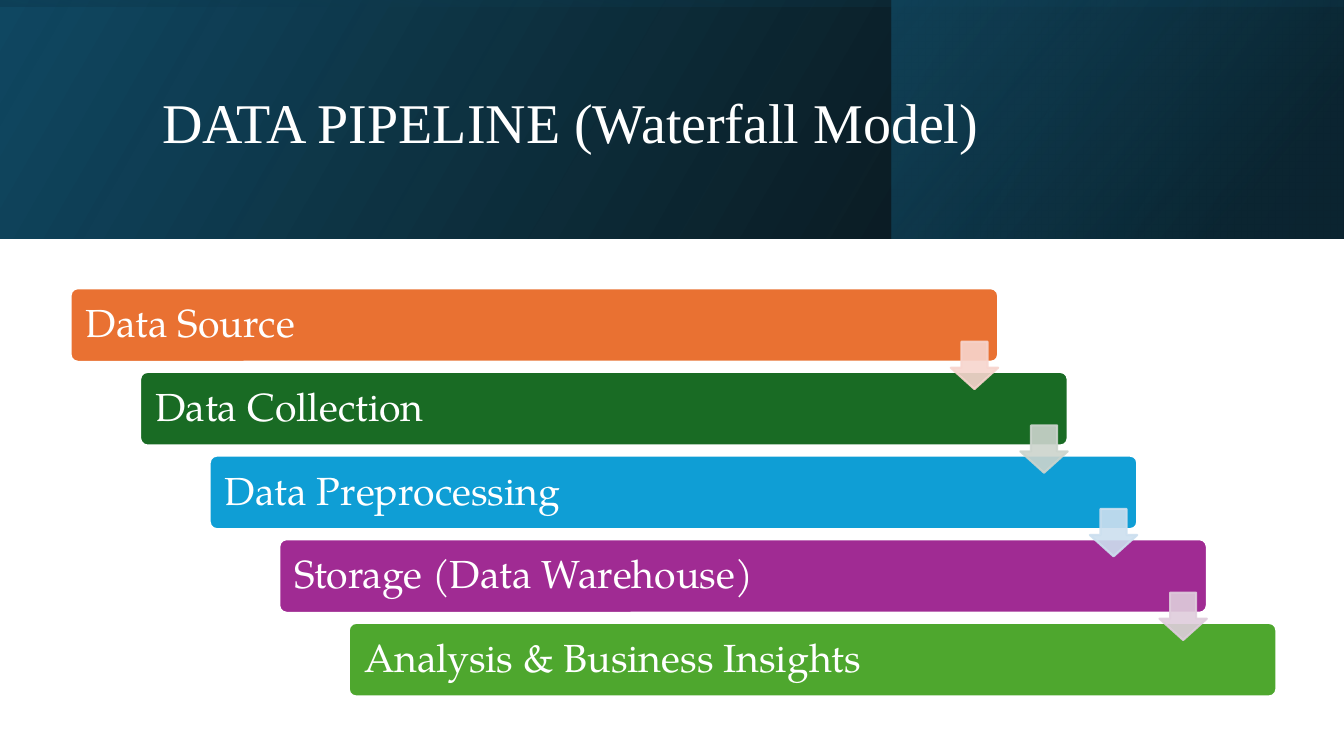
"""Build the data pipeline slide: a gradient header above a waterfall of five steps."""
from lxml.etree import SubElement
from pptx import Presentation
from pptx.dml.color import RGBColor
from pptx.enum.shapes import MSO_SHAPE as Shape
from pptx.enum.text import MSO_ANCHOR as Anchor, MSO_AUTO_SIZE as AutoSize, PP_ALIGN as Align
from pptx.oxml.ns import qn
from pptx.util import Inches, Pt

COLOURS = {
    "white": "FFFFFF", "black": "000000", "navy": "104862", "teal": "156082",
    "deep": "0B3041", "orange": "E97132", "green": "196B24", "blue": "0F9ED5",
    "purple": "A02B93", "lime": "4EA72E", "pale orange": "F7D5CE",
    "pale green": "CCD4CD", "pale blue": "CCDFEF", "pale purple": "DFCDDC",
}


def add_block(kind, left, top, width, height):
    shape = slide.shapes.add_shape(
        kind, Inches(left), Inches(top), Inches(width), Inches(height))
    shape.shadow.inherit = False
    return shape


def set_alpha(colour_element, percent):
    SubElement(colour_element, qn("a:alpha")).set("val", str(percent * 1000))


presentation = Presentation()
presentation.slide_width, presentation.slide_height = Inches(13.33), Inches(7.5)
slide = presentation.slides.add_slide(presentation.slide_layouts[5])

header_panels = [
    ((0, 0, 13.33, 2.37), 0, 330, [(0, "black", 96), (100, "navy", 100)]),
    ((8.84, 0, 4.48, 2.37), 0, 320, [(19, "deep", 68), (100, "teal", 48)]),
    ((5.48, -5.48, 2.37, 13.33), 270, 350, [(23, "navy", 16), (99, "black", 45)]),
]
for box, rotation, angle, stops in header_panels:
    panel = add_block(Shape.RECTANGLE, *box)
    panel.rotation = rotation
    panel.line.fill.background()
    panel.fill.gradient()
    properties = panel.element.spPr
    properties.find(qn("a:xfrm")).set("flipH", "1")
    gradient = properties.find(qn("a:gradFill"))
    gradient.set("rotWithShape", "1")
    for child in list(gradient):
        gradient.remove(child)
    stop_list = SubElement(gradient, qn("a:gsLst"))
    for position, colour, opacity in stops:
        stop = SubElement(stop_list, qn("a:gs"), pos=str(position * 1000))
        set_alpha(SubElement(stop, qn("a:srgbClr"), val=COLOURS[colour]), opacity)
    SubElement(gradient, qn("a:lin"), ang=str(angle * 60000), scaled="0")

title = slide.shapes.title
slide.shapes.element.append(title.element)
title.left, title.top = Inches(1.51), Inches(0.38)
title.width, title.height = Inches(10.63), Inches(1.72)
title.text_frame.text = "DATA PIPELINE (Waterfall Model)"
title.text_frame.auto_size = AutoSize.NONE
title.text_frame.vertical_anchor = Anchor.MIDDLE
heading = title.text_frame.paragraphs[0]
heading.alignment = Align.LEFT
heading.line_spacing = 0.9
heading.font.name = "Times New Roman"
heading.font.size = Pt(40)
heading.font.color.rgb = RGBColor.from_string(COLOURS["white"])

STEP_RIGHT, STEP_DOWN = 0.69, 0.83
steps = [
    ("Data Source", "orange"),
    ("Data Collection", "green"),
    ("Data Preprocessing", "blue"),
    ("Storage (Data Warehouse)", "purple"),
    ("Analysis & Business Insights", "lime"),
]
for index, (label, colour) in enumerate(steps):
    bar = add_block(Shape.ROUNDED_RECTANGLE, 0.7 + index * STEP_RIGHT,
                    2.86 + index * STEP_DOWN, 9.2, 0.73)
    bar.adjustments[0] = 0.1
    bar.fill.solid()
    bar.fill.fore_color.rgb = RGBColor.from_string(COLOURS[colour])
    bar.line.color.rgb = RGBColor.from_string(COLOURS["white"])
    bar.line.width = Pt(1.5)
    frame = bar.text_frame
    frame.text = label
    frame.word_wrap = True
    frame.vertical_anchor = Anchor.MIDDLE
    frame.margin_left = frame.margin_right = Inches(0.13)
    paragraph = frame.paragraphs[0]
    paragraph.alignment = Align.LEFT
    paragraph.line_spacing = 0.9
    paragraph.font.name = "TeX Gyre Pagella"
    paragraph.font.size = Pt(28)
    paragraph.font.color.rgb = RGBColor.from_string(COLOURS["white"])

for index, (label, colour) in enumerate(steps[:-1]):
    arrow = add_block(Shape.DOWN_ARROW, 9.43 + index * STEP_RIGHT,
                      3.39 + index * STEP_DOWN, 0.47, 0.47)
    arrow.adjustments[0], arrow.adjustments[1] = 0.55, 0.45
    tint = RGBColor.from_string(COLOURS["pale " + colour])
    arrow.fill.solid()
    arrow.fill.fore_color.rgb = tint
    arrow.line.color.rgb = tint
    arrow.line.width = Pt(1.5)
    for colour_element in arrow.element.spPr.iter(qn("a:srgbClr")):
        set_alpha(colour_element, 90)

presentation.save("out.pptx")
